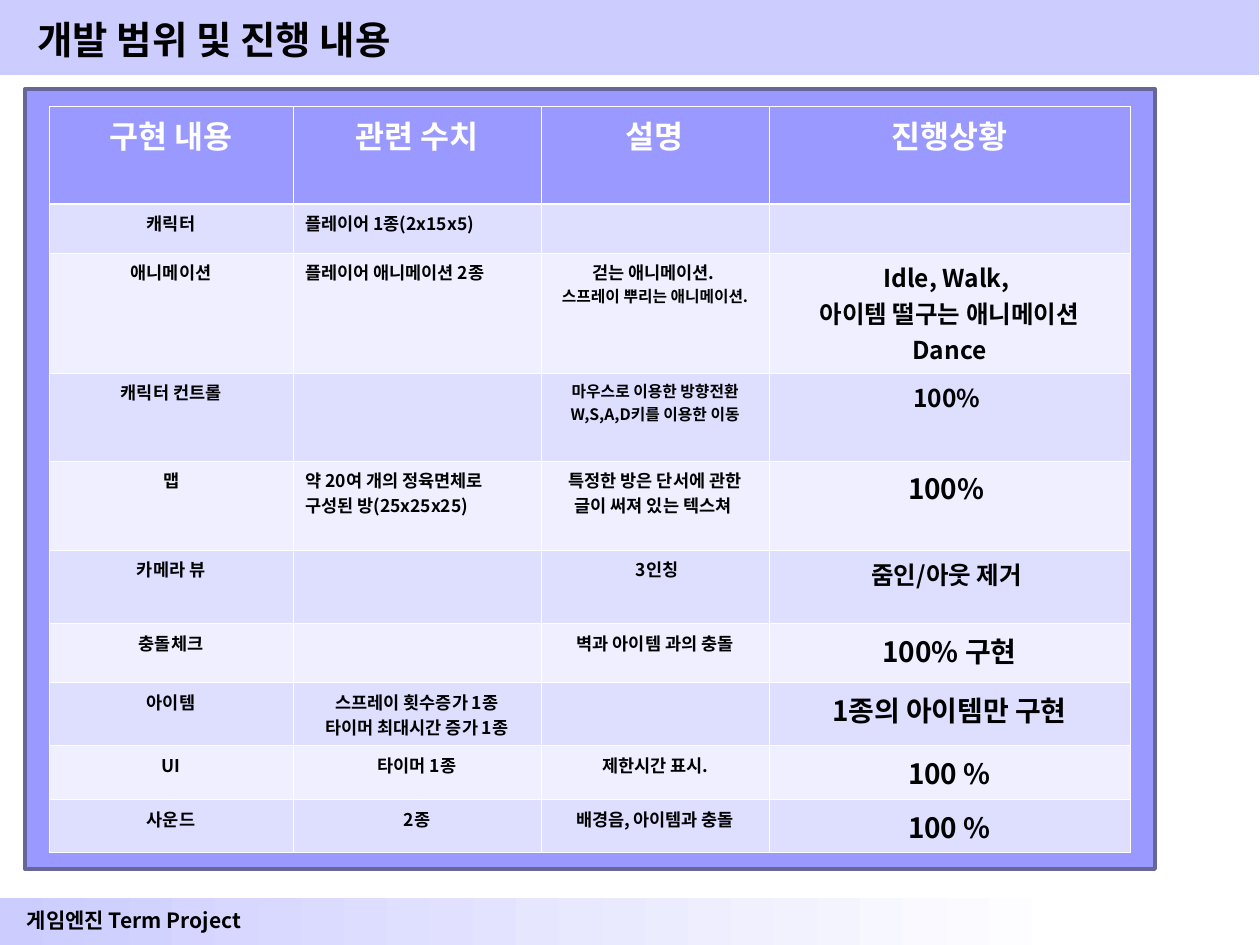
from lxml import etree
from pptx import Presentation
from pptx import util as u
from pptx.dml.color import RGBColor
from pptx.enum import shapes, text
from pptx.oxml.ns import qn

BLACK = RGBColor(0x00, 0x00, 0x00)
WHITE = RGBColor(0xFF, 0xFF, 0xFF)
LAVENDER = RGBColor(0xCC, 0xCC, 0xFF)
VIOLET = RGBColor(0x99, 0x99, 0xFF)
FRAME_EDGE = RGBColor(0x66, 0x66, 0x99)
BANDS = (RGBColor(0xDE, 0xDE, 0xFF), RGBColor(0xEF, 0xEF, 0xFF))

LEFT, CENTER = text.PP_ALIGN.LEFT, text.PP_ALIGN.CENTER
THIN, THICK = 0.45, 1.47

HEADERS = ("구현 내용", "관련 수치", "설명", "진행상황")
COLUMN_WIDTHS = (244, 248, 228, 361)
ROW_HEIGHTS = (98, 49, 120, 88, 89, 74, 59, 63, 54, 53)

# One tuple per row; a cell is a list of (line, size), and a plain string is 10 pt
ROWS = (
    ("캐릭터", "플레이어 1종(2x15x5)", "", ""),
    ("애니메이션", "플레이어 애니메이션 2종",
     [("걷는 애니메이션. ", 10), ("스프레이 뿌리는 애니메이션.", 9)],
     [("Idle, Walk, ", 14), ("아이템 떨구는 애니메이션", 14), ("Dance", 14)]),
    ("캐릭터 컨트롤", "",
     [("마우스로 이용한 방향전환", 9), ("W,S,A,D키를 이용한 이동", 9)],
     [("100% ", 14)]),
    ("맵", [("약 20여 개의 정육면체로", 10), ("구성된 방(25x25x25)", 10)],
     [("특정한 방은 단서에 관한", 10), ("글이 써져 있는 텍스쳐 ", 10)],
     [("100% ", 16)]),
    ("카메라 뷰", "", " 3인칭", [("줌인/아웃 제거 ", 14)]),
    ("충돌체크", "", "벽과 아이템 과의 충돌", [("100% 구현", 16)]),
    ("아이템", [("스프레이 횟수증가 1종", 10), ("타이머 최대시간 증가 1종", 10)],
     "", [("1종의 아이템만 구현", 16)]),
    ("UI", "타이머 1종", "제한시간 표시.", [("100 %", 16)]),
    ("사운드", "2종", "배경음, 아이템과 충돌", [("100 %", 16)]),
)
LEFT_ALIGNED = {(1, 1), (2, 1), (4, 1)}


class Deck:
    FONT = "Noto Sans CJK KR"
    SCALE = 914400 / 126

    def __init__(self, width, height):
        self.prs = Presentation()
        self.prs.slide_width, self.prs.slide_height = self.px(width, height)
        self.s = self.prs.slides.add_slide(self.prs.slide_layouts[6])

    def px(self, *lengths):
        return [u.Emu(round(n * self.SCALE)) for n in lengths]

    def put_lines(self, tf, lines, color, align):
        for i, (line, size) in enumerate(lines):
            p = tf.paragraphs[0] if i == 0 else tf.add_paragraph()
            p.alignment = align
            p.font.name, p.font.size = self.FONT, u.Pt(size)
            p.font.bold, p.font.color.rgb = True, color
            props = p._p.pPr.find(qn("a:defRPr"))
            etree.SubElement(props, qn("a:ea"), typeface=self.FONT)
            if line:
                p.add_run().text = line
            else:
                p._p.get_or_add_endParaRPr().set("sz", str(size * 100))

    def rect(self, box, color, edge=None, fade_to=None):
        sp = self.s.shapes.add_shape(shapes.MSO_SHAPE.RECTANGLE, *self.px(*box))
        sp.shadow.inherit = False
        if fade_to is None:
            sp.fill.solid()
            sp.fill.fore_color.rgb = color
        else:
            sp.fill.gradient()
            sp.fill.gradient_angle = 0
            for stop, shade in zip(sp.fill.gradient_stops, (color, fade_to)):
                stop.color.rgb = shade
        if edge is None:
            sp.line.fill.background()
        else:
            sp.line.color.rgb = edge
            sp.line.width = u.Pt(2.25)

    def label(self, box, line, size, align=LEFT, wrap=True):
        tf = self.s.shapes.add_textbox(*self.px(*box)).text_frame
        tf.word_wrap = wrap
        tf.vertical_anchor = text.MSO_ANCHOR.MIDDLE
        self.put_lines(tf, [(line, size)], BLACK, align)

    def borders(self, cell, top, bottom):
        tc_pr = cell._tc.get_or_add_tcPr()
        for side, width in zip("LRTB", (THIN, THIN, top, bottom)):
            ln = etree.SubElement(tc_pr, qn(f"a:ln{side}"), w=str(u.Pt(width)))
            fill = etree.SubElement(ln, qn("a:solidFill"))
            etree.SubElement(fill, qn("a:srgbClr"), val=str(WHITE))

    def table(self, left, top, widths, heights):
        box = self.px(left, top, sum(widths), sum(heights))
        table = self.s.shapes.add_table(len(heights), len(widths), *box).table
        table.horz_banding = False
        for column, width in zip(table.columns, self.px(*widths)):
            column.width = width
        for row, height in zip(table.rows, self.px(*heights)):
            row.height = height
        return table

    def cell(self, cell, lines, fill, color, align, top, bottom):
        self.borders(cell, top, bottom)
        cell.fill.solid()
        cell.fill.fore_color.rgb = fill
        self.put_lines(cell.text_frame, lines, color, align)


def main():
    deck = Deck(1260, 945)

    # Footer and title bands
    deck.rect((0, 898, 1075, 47), LAVENDER, fade_to=WHITE)
    deck.rect((0, 0, 1259, 75), LAVENDER)
    deck.label((5, 901, 258, 38), "게임엔진 Term Project", 12, CENTER, wrap=False)
    deck.label((25, 6, 1221, 66), "개발 범위 및 진행 내용", 22)

    # Frame behind the table
    deck.rect((25, 89, 1130, 780), VIOLET, edge=FRAME_EDGE)

    # Progress table
    table = deck.table(49, 106, COLUMN_WIDTHS, ROW_HEIGHTS)
    for c, header in enumerate(HEADERS):
        deck.cell(table.cell(0, c), [(header, 18)], VIOLET, WHITE, CENTER, THIN, THICK)
    for r, row in enumerate(ROWS, 1):
        for c, content in enumerate(row):
            lines = [(content, 10)] if isinstance(content, str) else content
            align = LEFT if (r, c) in LEFT_ALIGNED else CENTER
            deck.cell(table.cell(r, c), lines, BANDS[(r - 1) % 2], BLACK, align,
                      THICK if r == 1 else THIN, THIN)

    deck.prs.save("out.pptx")


if __name__ == "__main__":
    main()
